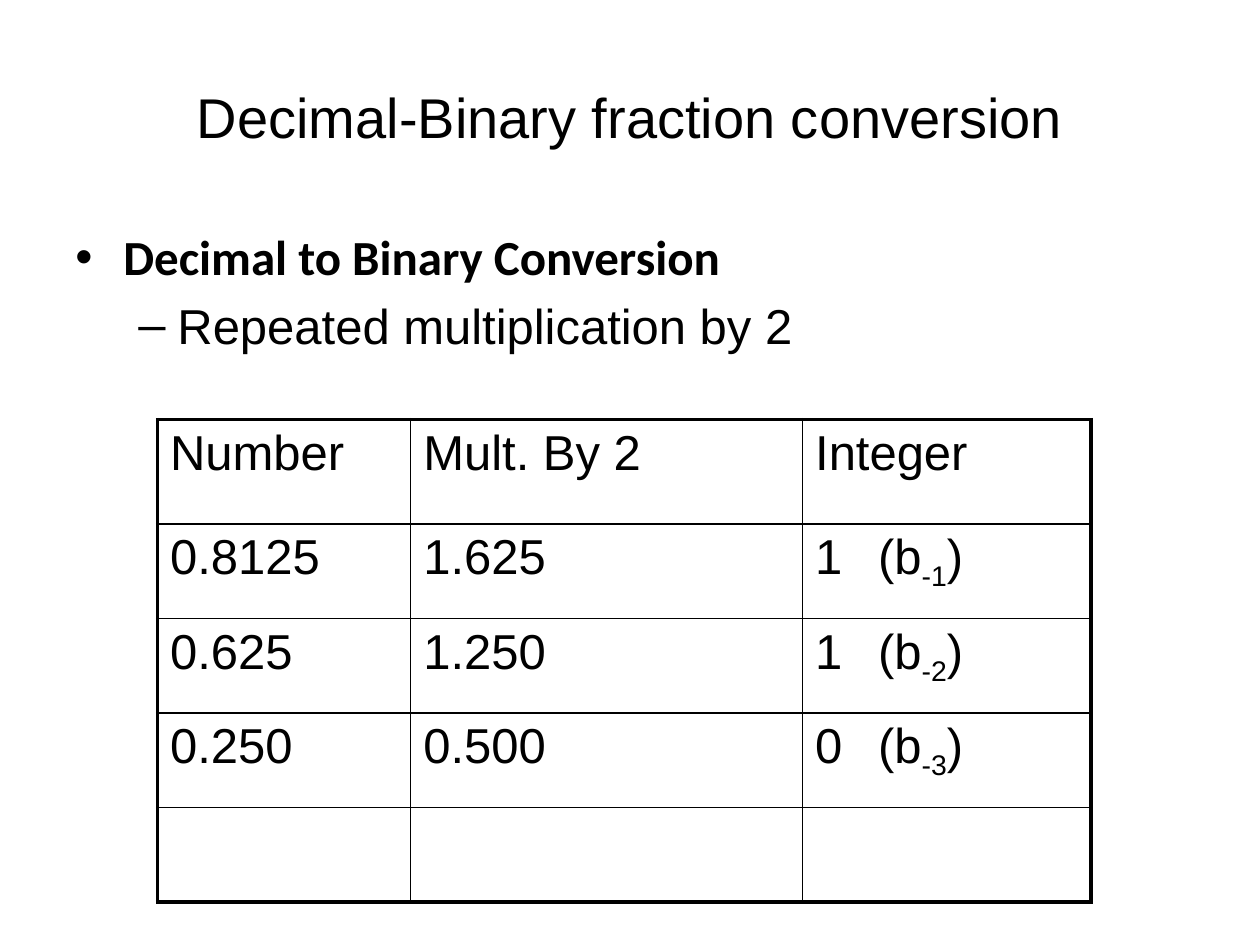
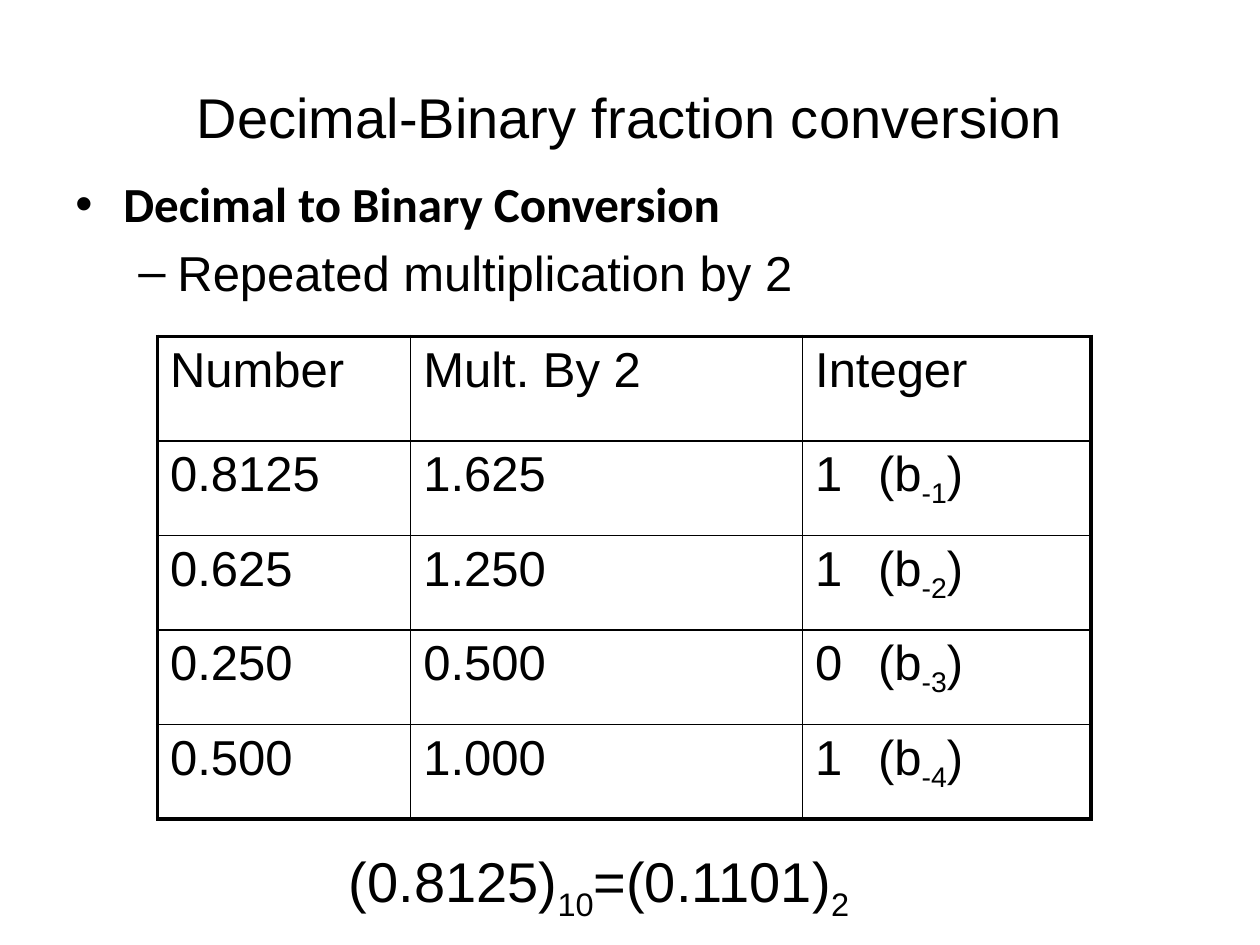
from lxml.etree import SubElement as Sub
from pptx import Presentation
from pptx.dml.color import RGBColor as Rgb
from pptx.enum.text import MSO_ANCHOR as Anchor, PP_ALIGN as Align
from pptx.oxml.ns import qn
from pptx.util import Pt

PX = 9144
HUE = {"ink": "000000"}
TITLE = "Decimal-Binary fraction conversion"
HEAD = ("Number", "Mult. By 2", "Integer")
STEPS = [
    ("0.8125", "1.625", "1\t(b_-1_)"),
    ("0.625", "1.250", "1\t(b_-2_)"),
    ("0.250", "0.500", "0\t(b_-3_)"),
    ("0.500", "1.000", "1\t(b_-4_)"),
]
COLS = (201, 311, 229)
ROWS = (83, 75, 75, 75, 75)


def write(para, text, size=28, face="Arial", bold=False, align=Align.LEFT,
          level=0, left=0, hang=0, before=0, mark=None, tab=None):
    """Fill a paragraph; parts between underscores are subscripts."""
    para.alignment, para.level = align, level
    if before:
        para.space_before = Pt(before)
    props = para._p.get_or_add_pPr()
    props.set("marL", str(left * PX))
    props.set("indent", str(-hang * PX))
    if mark:
        Sub(props, qn("a:buFont"), typeface="Arial")
        Sub(props, qn("a:buChar"), char=mark)
    else:
        Sub(props, qn("a:buNone"))
    if tab:
        stops = Sub(props, qn("a:tabLst"))
        Sub(stops, qn("a:tab"), pos=str(tab * PX), algn="l")
    for i, part in enumerate(text.split("_")):
        if not part:
            continue
        run = para.add_run()
        run.text = part
        font = run.font
        font.size, font.name, font.bold = Pt(size), face, bold
        font.color.rgb = Rgb.from_string(HUE["ink"])
        if i % 2:
            run._r.get_or_add_rPr().set("baseline", "-25000")


class Deck:
    """Holds the style and the current slide."""

    def __init__(self):
        """Start an empty deck."""
        self.prs = Presentation()
        self.prs.slide_width, self.prs.slide_height = 1000 * PX, 750 * PX

    def page(self):
        """Add a slide with the shared title."""
        self.slide = self.prs.slides.add_slide(self.prs.slide_layouts[6])
        frame = self.box(50, 30, 900, 125, Anchor.MIDDLE)
        write(frame.paragraphs[0], TITLE, size=32, align=Align.CENTER)

    def box(self, x, y, w, h, anchor=Anchor.TOP):
        """Add a text box and return its frame."""
        shape = self.slide.shapes.add_textbox(x * PX, y * PX, w * PX, h * PX)
        frame = shape.text_frame
        frame.word_wrap, frame.vertical_anchor = True, anchor
        return frame

    def points(self, y):
        """Add the two bullet lines."""
        frame = self.box(50, y, 875, 142)
        write(frame.paragraphs[0], "Decimal to Binary Conversion",
              face="Calibri", bold=True, left=38, hang=38, mark="•")
        write(frame.add_paragraph(), "Repeated multiplication by 2",
              level=1, left=81, hang=31, before=5.6, mark="–")

    def edge(self, cell, side, width):
        """Draw one border of a cell."""
        props = cell._tc.get_or_add_tcPr()
        line = Sub(props, qn("a:ln" + side), w=str(Pt(width)))
        fill = Sub(line, qn("a:solidFill"))
        Sub(fill, qn("a:srgbClr"), val=HUE["ink"])

    def grid(self, y, steps):
        """Add the table with a thick frame; missing steps stay empty."""
        table = self.slide.shapes.add_table(
            len(ROWS), len(COLS), 125 * PX, y * PX,
            sum(COLS) * PX, sum(ROWS) * PX).table
        table.first_row = table.horz_banding = False
        for col, width in zip(table.columns, COLS):
            col.width = width * PX
        for row, height in zip(table.rows, ROWS):
            row.height = height * PX
        data = [HEAD, *steps]
        for r in range(len(ROWS)):
            for c in range(len(COLS)):
                cell = table.cell(r, c)
                outer = {"L": c == 0, "R": c == len(COLS) - 1,
                         "T": r == 0, "B": r == len(ROWS) - 1}
                for side, thick in outer.items():
                    self.edge(cell, side, 2.25 if thick else 1)
                cell.fill.background()
                if r < len(data):
                    text = data[r][c]
                    write(cell.text_frame.paragraphs[0], text,
                          tab=130 if "\t" in text else None)

    def result(self, text):
        """Add the closing equation."""
        frame = self.box(242, 667, 633, 83)
        write(frame.paragraphs[0], text, size=32, left=25)


def main():
    """Build both slides."""
    deck = Deck()
    for top, grid, count in ((175, 333, 3), (133, 267, 4)):
        deck.page()
        deck.points(top)
        deck.grid(grid, STEPS[:count])
    deck.result("(0.8125)_10_=(0.1101)_2_")
    deck.prs.save("out.pptx")


if __name__ == "__main__":
    main()
